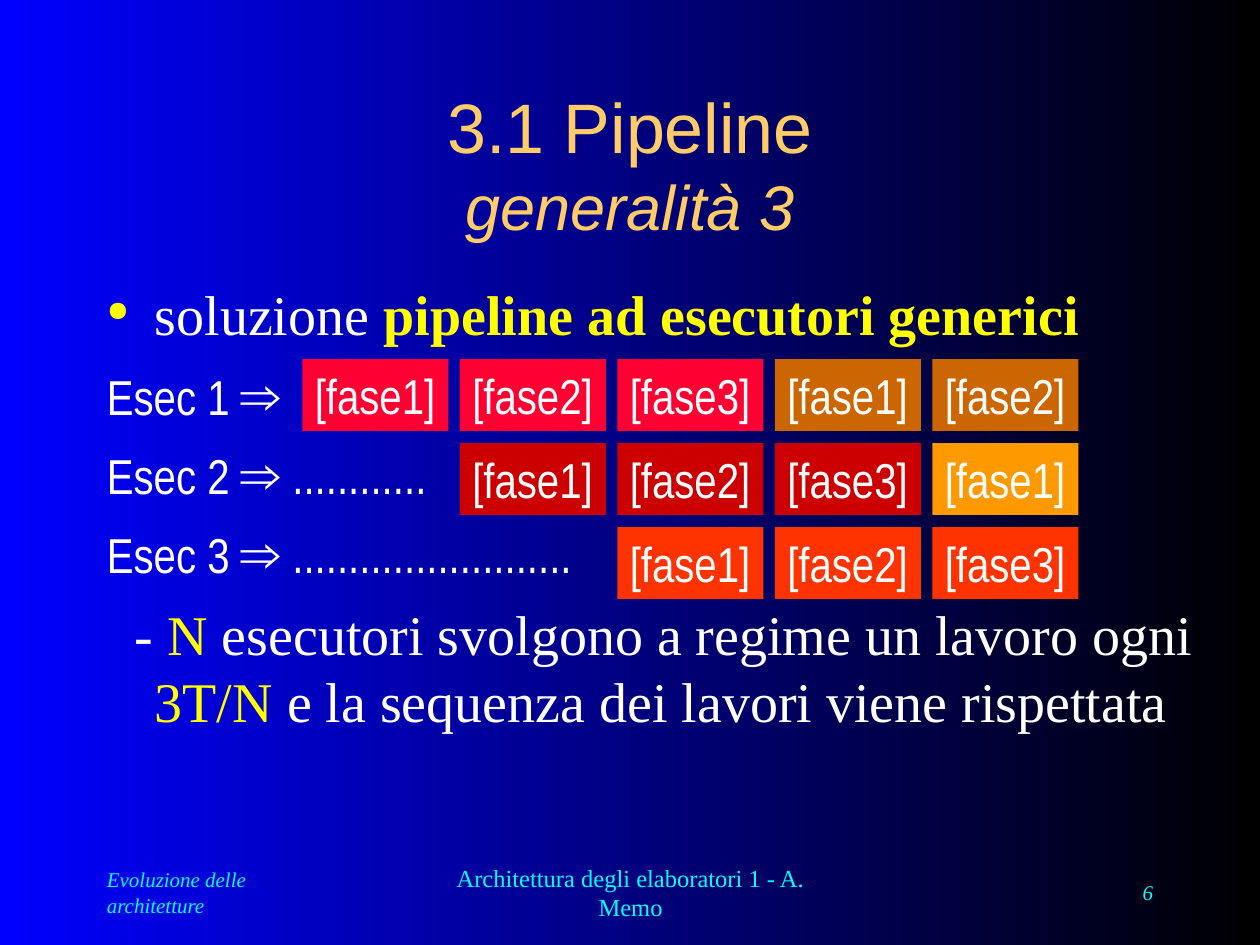
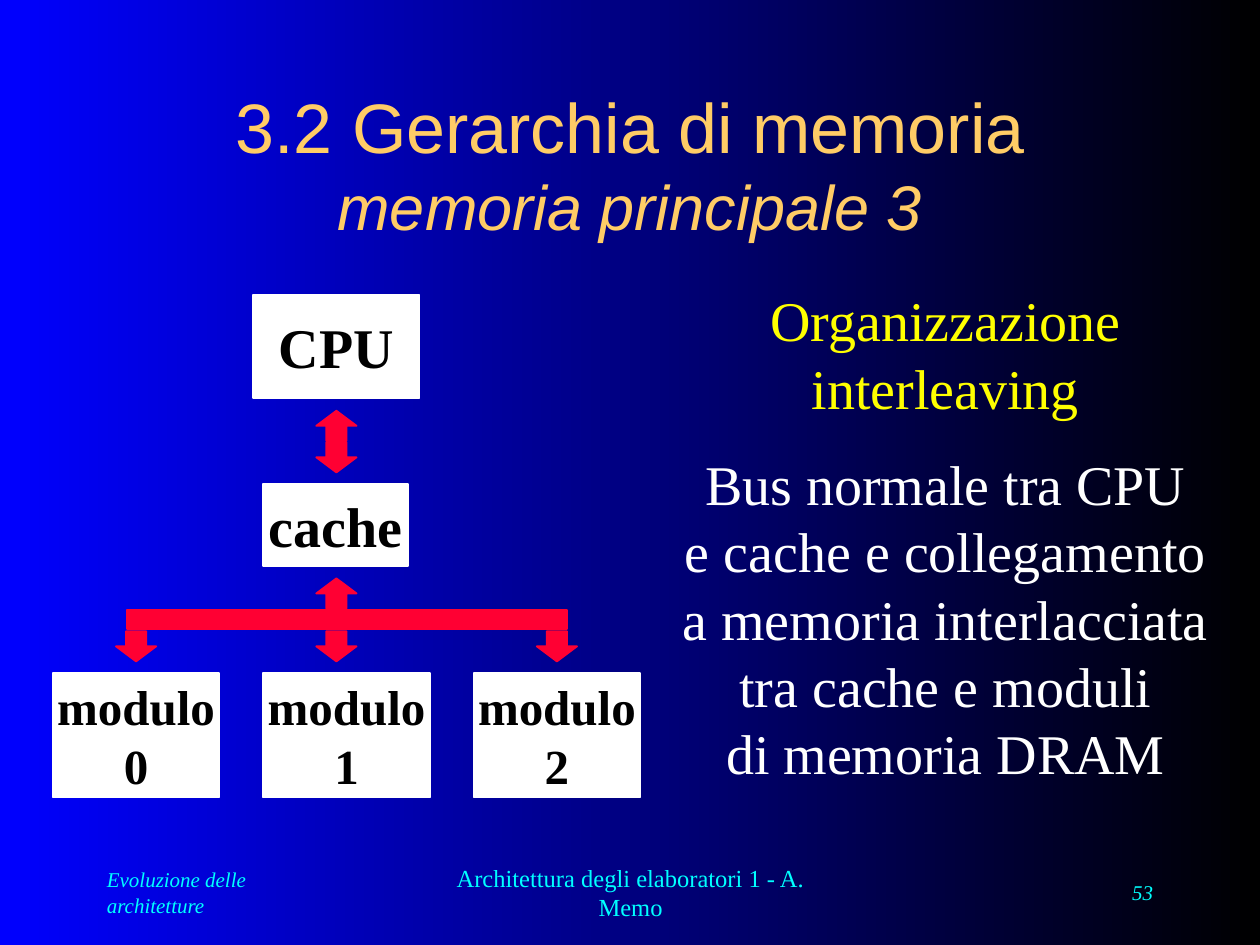
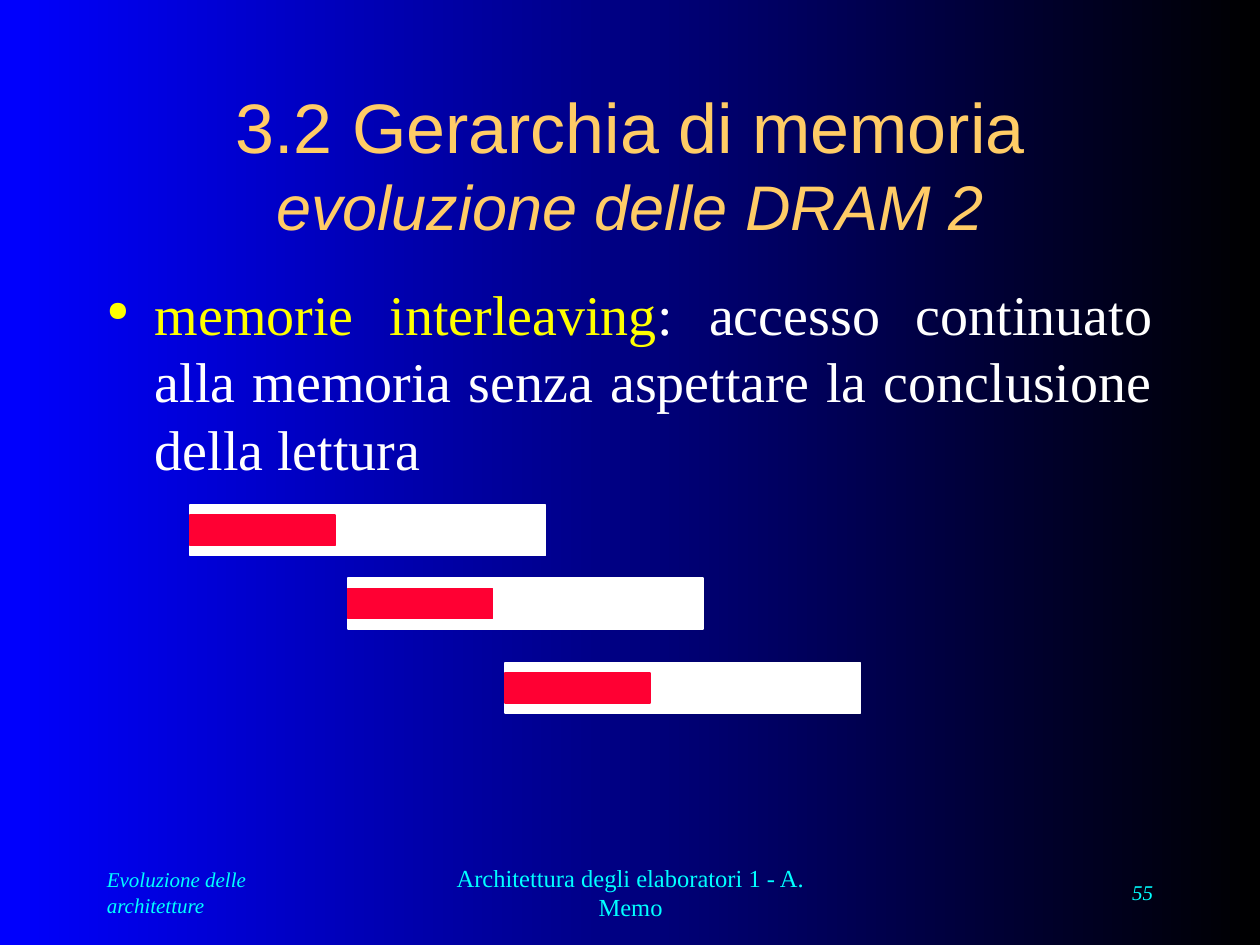
"""Build three lecture slides on pipelines and memory hierarchy."""
from lxml import etree
from pptx import Presentation
from pptx.dml.color import RGBColor
from pptx.enum.shapes import MSO_SHAPE as Shape
from pptx.enum.text import MSO_ANCHOR as Anchor, PP_ALIGN as Align
from pptx.oxml.ns import qn
from pptx.util import Inches, Pt

BLUE, BLACK, WHITE = "0000FF", "000000", "FFFFFF"
YELLOW, GOLD, CYAN, RED = "FFFF00", "FFCC66", "00FFFF", "FF0033"
SERIF, SANS, NARROW = "Times New Roman", "Arial", "Arial Narrow"

TITLE = {"name": SANS, "size": 40, "color": GOLD}
SUBTITLE = {"size": 36, "italic": True}
BODY = {"name": SERIF, "size": 32, "color": WHITE}
ACCENT = {"color": YELLOW}
PHASE = {"name": NARROW, "size": 28, "color": WHITE}
IMPLIES = ("⇒", {"name": SANS, "size": 32})
BLOCK = {"name": SERIF, "size": 32, "color": BLACK, "bold": True}
MODULE = BLOCK | {"size": 28}
SMALL = {"name": SERIF, "size": 12, "color": CYAN, "italic": True}

FOOTER_TOP, FOOTER_HEIGHT = 6.83, 0.5
COURSE = "Architettura degli elaboratori 1 - A. Memo"
CHAPTER = "Evoluzione delle architetture"

EXECUTORS = [
    ("Esec 1 ", ""),
    ("Esec 2 ", " ............"),
    ("Esec 3 ", " ........................."),
]
PHASE_ROWS = [
    [RED, RED, RED, "CC6600", "CC6600"],
    ["CC0000", "CC0000", "CC0000", "FF9900"],
    ["FF3300", "FF3300", "FF3300"],
]
PHASE_COUNT, COLUMN_COUNT = 3, 5

INTERLEAVING = ["Organizzazione", "interleaving"]
BUS_LINES = ["Bus normale tra CPU", "e cache e collegamento", "a memoria interlacciata",
             "tra cache e moduli", "di memoria DRAM"]
BLOCKS = [
    ((2.01, 2.34, 1.32, 0.82), "CPU"),
    ((2.09, 3.84, 1.15, 0.65), "cache"),
]
MODULE_COUNT = 3
ARROWS = [
    (Shape.UP_ARROW, 2.51, 3.26),
    (Shape.DOWN_ARROW, 2.51, 3.51),
    (Shape.UP_ARROW, 2.51, 4.59),
    (Shape.DOWN_ARROW, 2.51, 5.01),
    (Shape.DOWN_ARROW, 0.92, 5.01),
    (Shape.DOWN_ARROW, 4.26, 5.01),
]
BUS_BAR = (1.01, 4.84, 3.49, 0.15)

ACCESSES = [(1.51, 4.01), (2.76, 4.59), (4.01, 5.26)]


def rgb(color):
    return RGBColor.from_string(color)


def style_font(font, name=None, size=None, color=None, bold=None, italic=None):
    if name:
        font.name = name
    if size:
        font.size = Pt(size)
    if color:
        font.color.rgb = rgb(color)
    if bold is not None:
        font.bold = bold
    if italic is not None:
        font.italic = italic


def line(runs, style, align=Align.LEFT, before=0, indent=None, bullet=False):
    """Describe one paragraph; runs is a text or a list of (text, changes)."""
    if isinstance(runs, str):
        runs = [(runs, {})]
    return {"runs": runs, "style": style, "align": align, "before": before,
            "indent": indent, "bullet": bullet}


def add_bullet(properties):
    color = etree.SubElement(properties, qn("a:buClr"))
    etree.SubElement(color, qn("a:srgbClr"), val=YELLOW)
    etree.SubElement(properties, qn("a:buSzPct"), val="50000")
    etree.SubElement(properties, qn("a:buChar"), char="●")


def write(shape, lines, anchor=Anchor.TOP, wrap=False):
    frame = shape.text_frame
    frame.word_wrap = wrap
    frame.vertical_anchor = anchor
    for index, item in enumerate(lines):
        paragraph = frame.paragraphs[0] if index == 0 else frame.add_paragraph()
        paragraph.alignment = item["align"]
        paragraph.line_spacing = 1.0
        if item["before"]:
            paragraph.space_before = Pt(item["before"])
        properties = paragraph._p.get_or_add_pPr()
        if item["indent"]:
            margin, first = item["indent"]
            properties.set("marL", str(Inches(margin)))
            properties.set("indent", str(Inches(first)))
        if item["bullet"]:
            add_bullet(properties)
        style_font(paragraph.font, **item["style"])
        for text, changes in item["runs"]:
            if text == "\n":
                paragraph.add_line_break()
                continue
            run = paragraph.add_run()
            run.text = text
            style_font(run.font, **changes)


def add_text(slide, box, lines, **options):
    write(slide.shapes.add_textbox(*map(Inches, box)), lines, **options)


def add_block(slide, box, fill, kind=Shape.RECTANGLE, outline=True):
    shape = slide.shapes.add_shape(kind, *map(Inches, box))
    shape.shadow.inherit = False
    shape.fill.solid()
    shape.fill.fore_color.rgb = rgb(fill)
    if outline:
        shape.line.color.rgb = rgb(fill)
        shape.line.width = Pt(1)
    else:
        shape.line.fill.background()
    return shape


def add_slide(presentation, title, subtitle, number):
    slide = presentation.slides.add_slide(presentation.slide_layouts[6])
    footers = [
        (0.75, 2.08, CHAPTER, SMALL, Align.LEFT),
        (3.42, 3.17, COURSE, SMALL | {"size": 14, "italic": False}, Align.CENTER),
        (7.17, 2.08, str(number), SMALL, Align.RIGHT),
    ]
    for left, width, text, style, align in footers:
        add_text(slide, (left, FOOTER_TOP, width, FOOTER_HEIGHT),
                 [line(text, style, align)], anchor=Anchor.MIDDLE)
    heading = [(title, {}), ("\n", {}), (subtitle, SUBTITLE)]
    add_text(slide, (0.75, 0.67, 8.5, 1.25), [line(heading, TITLE, Align.CENTER)],
             anchor=Anchor.MIDDLE, wrap=True)
    return slide


def bullet_line(runs):
    return line(runs, BODY, Align.JUSTIFY, indent=(0.38, -0.38), bullet=True)


def build_pipeline(presentation):
    slide = add_slide(presentation, "3.1 Pipeline", "generalità 3", 6)
    lines = [bullet_line([("soluzione ", {}),
                          ("pipeline ad esecutori generici", ACCENT | {"bold": True})])]
    for label, dots in EXECUTORS:
        runs = [(label, {}), IMPLIES] + ([(dots, {})] if dots else [])
        lines.append(line(runs, PHASE, before=7, indent=(0.38, -0.38)))
    lines.append(line([("- ", {}), ("N", ACCENT),
                       (" esecutori svolgono a regime un lavoro ogni ", {}),
                       ("3T/N ", ACCENT),
                       ("e la sequenza dei lavori viene rispettata", {})],
                      BODY, before=8, indent=(0.38, -0.16)))
    add_text(slide, (0.75, 2.17, 8.83, 3.83), lines, wrap=True)
    for row, colors in enumerate(PHASE_ROWS):
        first_column = COLUMN_COUNT - len(colors)
        for step, color in enumerate(colors):
            box = (2.4 + 1.25 * (first_column + step), 2.85 + 2 / 3 * row, 1.16, 0.57)
            shape = add_block(slide, box, color, outline=False)
            write(shape, [line(f"[fase{step % PHASE_COUNT + 1}]", PHASE)])


def build_interleaving(presentation):
    slide = add_slide(presentation, "3.2 Gerarchia di memoria", "memoria principale 3", 53)
    lines = [line(text, BODY | ACCENT, Align.CENTER) for text in INTERLEAVING]
    lines += [line(text, BODY, Align.CENTER, before=0 if index else 16.8)
              for index, text in enumerate(BUS_LINES)]
    add_text(slide, (5.26, 2.22, 4.49, 4.07), lines)
    for box, label in BLOCKS:
        write(add_block(slide, box, WHITE), [line(label, BLOCK, Align.CENTER)],
              anchor=Anchor.MIDDLE)
    for number in range(MODULE_COUNT):
        shape = add_block(slide, (0.42 + 1.67 * number, 5.34, 1.32, 0.99), WHITE)
        write(shape, [line(text, MODULE, Align.CENTER) for text in ("modulo", str(number))],
              anchor=Anchor.MIDDLE)
    for kind, left, top in ARROWS:
        add_block(slide, (left, top, 0.32, 0.24), RED, kind)
    add_block(slide, BUS_BAR, RED)


def build_dram(presentation):
    slide = add_slide(presentation, "3.2 Gerarchia di memoria", "evoluzione delle DRAM 2", 55)
    text = ": accesso continuato alla memoria senza aspettare la conclusione della lettura"
    add_text(slide, (0.75, 2.17, 8.5, 1.75),
             [bullet_line([("memorie interleaving", ACCENT), (text, {})])], wrap=True)
    for left, top in ACCESSES:
        add_block(slide, (left, top, 2.82, 0.4), WHITE)
        add_block(slide, (left, top + 0.08, 1.15, 0.24), RED)


def main():
    presentation = Presentation()
    presentation.slide_width, presentation.slide_height = Inches(10), Inches(7.5)
    fill = presentation.slide_master.background.fill
    fill.gradient()
    fill.gradient_angle = 0
    for stop, position, color in zip(fill.gradient_stops, (0, 1), (BLUE, BLACK)):
        stop.position = position
        stop.color.rgb = rgb(color)
    build_pipeline(presentation)
    build_interleaving(presentation)
    build_dram(presentation)
    presentation.save("out.pptx")


if __name__ == "__main__":
    main()
